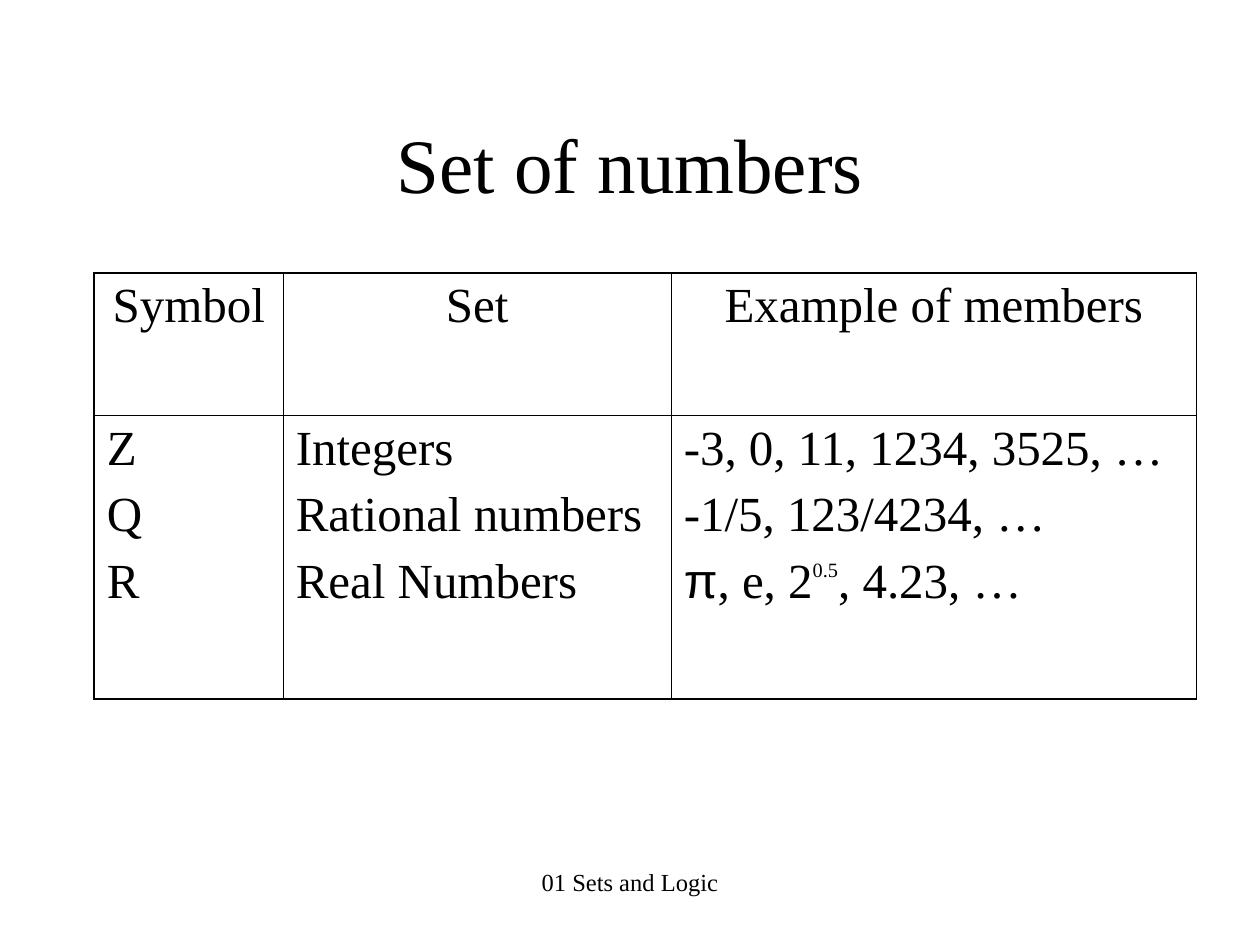
import pptx
import pptx.dml.color
import pptx.enum.text
import pptx.oxml
import pptx.oxml.ns
import pptx.util
from pptx.util import Cm

FONT = "Times New Roman"
BLACK = "000000"
OUTER_LINE, INNER_LINE = 1.08, 0.45
CENTER = pptx.enum.text.PP_ALIGN.CENTER
LEFT = pptx.enum.text.PP_ALIGN.LEFT
TOP = pptx.enum.text.MSO_ANCHOR.TOP
MIDDLE = pptx.enum.text.MSO_ANCHOR.MIDDLE

COLUMN_WIDTHS = [3.81, 7.82, 10.59]
ROW_HEIGHTS = [2.87, 5.72]
ROWS = [
    ["Symbol", "Set", "Example of members"],
    [
        "Z\nQ\nR",
        "Integers\nRational numbers\nReal Numbers",
        "-3, 0, 11, 1234, 3525, …\n-1/5, 123/4234, …",
    ],
]


def rgb(color):
    return pptx.dml.color.RGBColor.from_string(color)


def style_run(run, size, name=FONT, color=BLACK):
    run.font.size = pptx.util.Pt(size)
    run.font.name = name
    run.font.color.rgb = rgb(color)


def style_paragraphs(text_frame, size, alignment, space_before=0):
    for index, paragraph in enumerate(text_frame.paragraphs):
        paragraph.alignment = alignment
        if index:
            paragraph.space_before = pptx.util.Pt(space_before)
        for run in paragraph.runs:
            style_run(run, size)


def add_text(slide, text, left, top, width, height, size, anchor):
    box = slide.shapes.add_textbox(Cm(left), Cm(top), Cm(width), Cm(height))
    text_frame = box.text_frame
    text_frame.word_wrap = True
    text_frame.vertical_anchor = anchor
    text_frame.text = text
    style_paragraphs(text_frame, size, CENTER)


def set_borders(cell, widths):
    """Draw the left, right, top and bottom lines, widths in points."""
    properties = cell._tc.get_or_add_tcPr()
    for index, (side, width) in enumerate(zip("LRTB", widths)):
        line = pptx.oxml.parse_xml(
            f'<a:ln{side} {pptx.oxml.ns.nsdecls("a")} w="{pptx.util.Pt(width)}">'
            f'<a:solidFill><a:srgbClr val="{BLACK}"/></a:solidFill></a:ln{side}>'
        )
        properties.insert(index, line)


def add_irrational_examples(text_frame):
    paragraph = text_frame.add_paragraph()
    pieces = [("π", 28, "Arial"), (", e, 2", 28, FONT), ("0.5", 20, FONT), (", 4.23, …", 28, FONT)]
    for text, size, name in pieces:
        run = paragraph.add_run()
        run.text = text
        style_run(run, size, name)
    exponent = paragraph.runs[2]
    exponent._r.get_or_add_rPr().set("baseline", "60000")


def add_number_table(slide):
    last_row, last_column = len(ROW_HEIGHTS) - 1, len(COLUMN_WIDTHS) - 1
    table = slide.shapes.add_table(
        len(ROW_HEIGHTS), len(COLUMN_WIDTHS), Cm(1.9), Cm(5.5),
        Cm(sum(COLUMN_WIDTHS)), Cm(sum(ROW_HEIGHTS)),
    ).table
    table.first_row = table.horz_banding = False
    for column, width in zip(table.columns, COLUMN_WIDTHS):
        column.width = Cm(width)
    for row, height in zip(table.rows, ROW_HEIGHTS):
        row.height = Cm(height)

    for row_index, texts in enumerate(ROWS):
        for column_index, text in enumerate(texts):
            cell = table.cell(row_index, column_index)
            cell.text_frame.text = text
            if (row_index, column_index) == (last_row, last_column):
                add_irrational_examples(cell.text_frame)
            else:
                style_paragraphs(cell.text_frame, 28, LEFT if row_index else CENTER, 7)
            cell.fill.background()
            on_edge = [
                column_index == 0, column_index == last_column,
                row_index == 0, row_index == last_row,
            ]
            set_borders(cell, [OUTER_LINE if edge else INNER_LINE for edge in on_edge])

    examples = table.cell(last_row, last_column).text_frame
    for paragraph in examples.paragraphs[:-1]:
        for run in paragraph.runs:
            style_run(run, 28)
    for paragraph in examples.paragraphs[1:]:
        paragraph.space_before = pptx.util.Pt(7)


def main():
    presentation = pptx.Presentation()
    presentation.slide_width, presentation.slide_height = Cm(25.4), Cm(19.05)
    slide = presentation.slides.add_slide(presentation.slide_layouts[6])
    add_text(slide, "Set of numbers", 1.9, 1.7, 21.6, 3.18, 44, MIDDLE)
    add_number_table(slide)
    add_text(slide, "01 Sets and Logic", 8.68, 17.35, 8.04, 1.27, 14, TOP)
    presentation.save("out.pptx")


if __name__ == "__main__":
    main()
